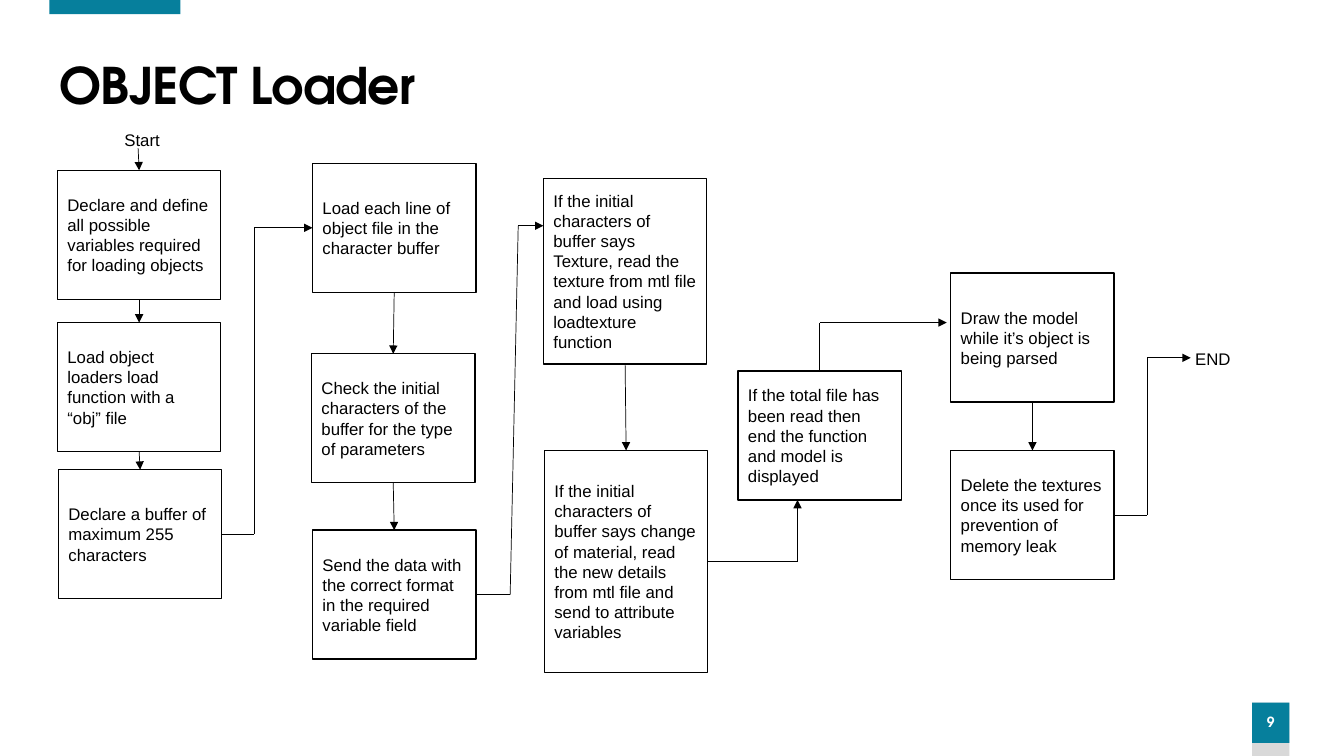
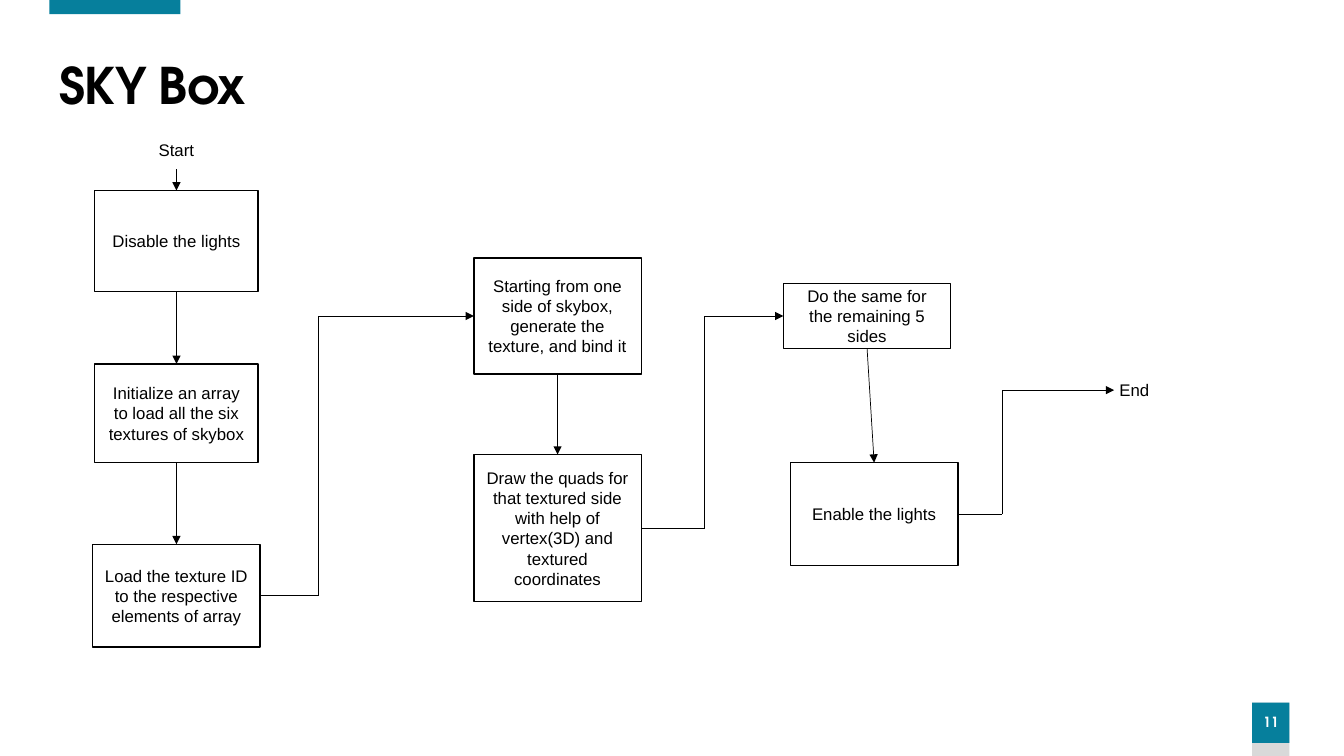
import itertools

import lxml.etree
import pptx
import pptx.dml.color
import pptx.enum.shapes
import pptx.enum.text
import pptx.oxml.ns
import pptx.util

Inches = pptx.util.Inches
RECTANGLE = pptx.enum.shapes.MSO_SHAPE.RECTANGLE
PROCESS = pptx.enum.shapes.MSO_SHAPE.FLOWCHART_PROCESS
LEFT = pptx.enum.text.PP_ALIGN.LEFT
CENTER = pptx.enum.text.PP_ALIGN.CENTER
TOP_SIDE, LEFT_SIDE, BOTTOM_SIDE, RIGHT_SIDE = range(4)

TEAL = "067F9C"
GREY = "D9D9D9"
BLACK = "000000"
WHITE = "FFFFFF"
HEADING_FONT = "TeX Gyre Adventor"
BODY_FONT = "Arial"


def color(value):
    return pptx.dml.color.RGBColor.from_string(value)


def write(box, text, font=BODY_FONT, size=12, fill=BLACK, bold=False,
          align=CENTER, line_spacing=None, tracking=None, side_inset=0.1):
    frame = box.text_frame
    frame.word_wrap = True
    frame.auto_size = pptx.enum.text.MSO_AUTO_SIZE.NONE
    frame.vertical_anchor = pptx.enum.text.MSO_ANCHOR.MIDDLE
    frame.margin_left = frame.margin_right = Inches(side_inset)
    frame.margin_top = frame.margin_bottom = Inches(0.05)
    para = frame.paragraphs[0]
    para.alignment = align
    para.line_spacing = line_spacing
    span = para.add_run()
    span.text = text
    span.font.name = font
    span.font.size = pptx.util.Pt(size)
    span.font.bold = bold
    span.font.color.rgb = color(fill)
    if tracking is not None:
        span.font.element.set("spc", str(tracking)) if hasattr(span.font, "element") else \
            span._r.get_or_add_rPr().set("spc", str(tracking))


def add_box(page, left, top, width, height, fill=WHITE, outline=None, kind=RECTANGLE):
    box = page.shapes.add_shape(kind, Inches(left), Inches(top), Inches(width), Inches(height))
    box.shadow.inherit = False
    box.fill.solid()
    box.fill.fore_color.rgb = color(fill)
    if outline:
        box.line.color.rgb = color(outline)
        box.line.width = pptx.util.Pt(1)
    else:
        box.line.fill.background()
    return box


def add_step(page, text, left, top, width=1.62, height=1.28, align=CENTER,
             kind=RECTANGLE, outline=BLACK):
    box = add_box(page, left, top, width, height, outline=outline, kind=kind)
    write(box, text, align=align)
    return box


def add_terminal(page, text, left, top, width=1.9, height=0.39):
    return add_step(page, text, left, top, width, height, outline=WHITE)


def is_joint(place):
    return hasattr(place[0], "shape_id")


def add_line(page, start, end, arrow):
    ends = [(0, 0) if is_joint(place) else place for place in (start, end)]
    line = page.shapes.add_connector(
        pptx.enum.shapes.MSO_CONNECTOR.STRAIGHT,
        *(Inches(value) for value in itertools.chain(*ends)))
    if is_joint(start):
        line.begin_connect(*start)
    if is_joint(end):
        line.end_connect(*end)
    line.line.color.rgb = color(BLACK)
    line.line.width = pptx.util.Pt(0.5)
    qn = pptx.oxml.ns.qn
    properties = line.element.spPr
    if arrow:
        lxml.etree.SubElement(properties.find(qn("a:ln")), qn("a:tailEnd"), type="triangle")
    lxml.etree.SubElement(properties, qn("a:effectLst"))


def side_place(joint):
    box, side = joint
    middle_x = (box.left + box.width / 2) / Inches(1)
    middle_y = (box.top + box.height / 2) / Inches(1)
    return {
        TOP_SIDE: (middle_x, box.top / Inches(1)),
        LEFT_SIDE: (box.left / Inches(1), middle_y),
        BOTTOM_SIDE: (middle_x, (box.top + box.height) / Inches(1)),
        RIGHT_SIDE: ((box.left + box.width) / Inches(1), middle_y),
    }[side]


def add_route(page, *places):
    for index, (start, end) in enumerate(itertools.pairwise(places), 2):
        add_line(page, start, end, arrow=index == len(places))


def add_lane(page, source, lane, target):
    start_y, end_y = (
        side_place(place)[1] if is_joint(place) else place[1] for place in (source, target))
    add_route(page, source, (lane, start_y), (lane, end_y), target)


def add_column(page, *boxes):
    for upper, lower in itertools.pairwise(boxes):
        add_route(page, (upper, BOTTOM_SIDE), (lower, TOP_SIDE))


def add_page(deck, title, number):
    page = deck.slides.add_slide(deck.slide_layouts[5])
    add_box(page, 12.42, 6.97, 0.37, 0.53, fill=GREY)
    badge = add_box(page, 12.42, 6.97, 0.37, 0.4, fill=TEAL)
    write(badge, number, font=HEADING_FONT, size=10, fill=WHITE, bold=True,
          line_spacing=0.9, side_inset=0)
    add_box(page, 0.49, 0, 1.3, 0.14, fill=TEAL)
    heading = page.shapes.title
    heading.left, heading.top = Inches(0.49), Inches(0.55)
    heading.width, heading.height = Inches(12.22), Inches(0.65)
    write(heading, title, font=HEADING_FONT, size=36, bold=True, align=LEFT,
          line_spacing=0.9, tracking=-60)
    return page


def add_object_loader(deck):
    page = add_page(deck, "OBJECT Loader", "9")

    def step(text, left, top, height=1.28):
        return add_step(page, text, left, top, height=height, align=LEFT)

    add_terminal(page, "Start", 0.46, 1.19)
    add_terminal(page, "END", 11.08, 3.36)
    declare = step("Declare and define all possible variables required for loading objects",
                   0.57, 1.69)
    load = step("Load object loaders load function with a “obj” file", 0.57, 3.2)
    buffer = step("Declare a buffer of maximum 255 characters", 0.58, 4.66)
    read = step("Load each line of object file in the character buffer", 3.1, 1.62)
    check = step("Check the initial characters of the buffer for the type of parameters",
                 3.09, 3.51)
    send = step("Send the data with the correct format in the required variable field",
                3.1, 5.26)
    texture = step("If the initial characters of buffer says Texture, read the texture "
                   "from mtl file and load using loadtexture function", 5.39, 1.77, 1.84)
    material = step("If the initial characters of buffer says change of material, read the "
                    "new details from mtl file and send to attribute variables",
                    5.4, 4.47, 2.2)
    finish = step("If the total file has been read then end the function and model is displayed",
                  7.32, 3.68)
    draw = step("Draw the model while it’s object is being parsed", 9.43, 2.71)
    delete = step("Delete the textures once its used for prevention of memory leak", 9.43, 4.47)

    add_route(page, (1.37, 1.47), (declare, TOP_SIDE))
    for column in ((declare, load, buffer), (read, check, send),
                   (texture, material), (draw, delete)):
        add_column(page, *column)
    add_lane(page, (buffer, RIGHT_SIDE), 2.52, (read, LEFT_SIDE))
    add_route(page, (send, RIGHT_SIDE), (5.06, 5.9), (5.14, 2.24), (5.39, 2.24))
    add_route(page, (material, RIGHT_SIDE), (7.91, 5.57), (7.91, 4.96))
    add_route(page, (finish, TOP_SIDE), (8.13, 3.2), (9.39, 3.2))
    add_lane(page, (delete, RIGHT_SIDE), 11.38, (11.81, 3.55))


def add_sky_box(deck):
    page = add_page(deck, "SKY Box", "11")

    def process(text, left, top, height):
        return add_step(page, text, left, top, 1.66, height, kind=PROCESS)

    start = add_terminal(page, "Start", 0.8, 1.29)
    add_terminal(page, "End", 10.17, 3.69, 2.16, 0.36)
    disable = add_step(page, "Disable the lights", 0.94, 1.89, height=1)
    initialize = add_step(page, "Initialize an array to load all the six textures of skybox",
                          0.94, 3.61, height=0.98)
    identify = process("Load the texture ID to the respective elements of array",
                       0.92, 5.4, 1.02)
    bind = process("Starting from one side of skybox, generate the texture, and bind it",
                   4.7, 2.56, 1.15)
    draw = process("Draw the quads for that textured side with help of vertex(3D) "
                   "and textured coordinates", 4.7, 4.51, 1.46)
    repeat = process("Do the same for the remaining 5 sides", 7.77, 2.81, 0.65)
    enable = process("Enable the lights", 7.84, 4.59, 1.02)

    for column in ((start, disable, initialize, identify), (bind, draw), (repeat, enable)):
        add_column(page, *column)
    add_lane(page, (identify, RIGHT_SIDE), 3.16, (bind, LEFT_SIDE))
    add_lane(page, (draw, RIGHT_SIDE), 6.99, (repeat, LEFT_SIDE))
    add_lane(page, (enable, RIGHT_SIDE), 9.94, (11.05, 3.87))


def main():
    deck = pptx.Presentation()
    deck.slide_width, deck.slide_height = Inches(13.33), Inches(7.5)
    add_object_loader(deck)
    add_sky_box(deck)
    deck.save("out.pptx")


if __name__ == "__main__":
    main()
